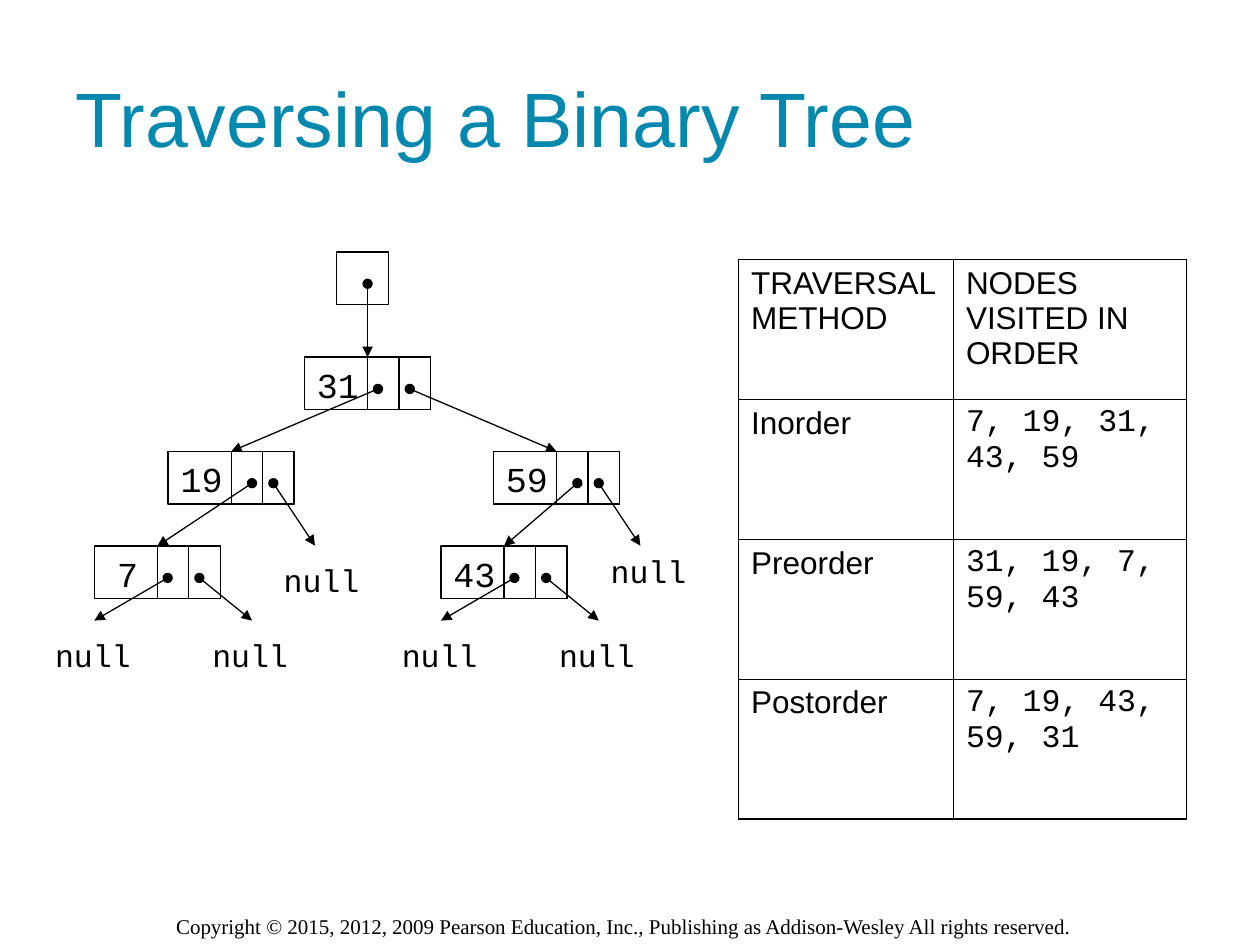
"""Build a slide showing a linked binary tree and its three traversal orders."""
from dataclasses import dataclass
from typing import Optional

from lxml import etree
from pptx import Presentation
from pptx import util as u
from pptx.dml.color import RGBColor
from pptx.enum import shapes, text
from pptx.oxml.ns import qn

BLACK, TEAL = "000000", "0488AE"
SANS, MONO, SERIF = "Arial", "Courier New", "Times New Roman"
NODE_WIDTH, NODE_HEIGHT = 2.54, 1.06
POINTER_WIDTH = NODE_WIDTH / 4
THIN, THICK = 0.45, 1.08
Point = tuple[float, float]


@dataclass(frozen=True)
class Link:
    """A pointer to a child node, or to a null label placed relative to its node."""
    start: float
    child: str = ""
    end: Point = (0, 0)
    null: Point = (0, 0)


@dataclass(frozen=True)
class Node:
    """A tree node with a value and two pointers."""
    value: str
    left: float
    top: float
    links: tuple[Link, Link]
    value_shift: float = 0


LEAF_LINKS = (Link(1.48, end=(0, 1.5), null=(-1.04, 1.69)),
              Link(2.12, end=(3.18, 1.5), null=(2.13, 1.69)))
NODES = (
    Node("31", 6.14, 7.2, (Link(1.48, "19"), Link(2.12, "59"))),
    Node("59", 9.95, 9.1, (Link(1.69, "43"), Link(2.12, end=(2.96, 1.9), null=(2.11, 1.91)))),
    Node("19", 3.39, 9.1, (Link(1.69, "7"), Link(2.12, end=(2.96, 1.9), null=(2.08, 2.08)))),
    Node("7", 1.9, 11.01, LEAF_LINKS, 0.21),
    Node("43", 8.89, 11.01, LEAF_LINKS),
)
TRAVERSALS = (
    ("TRAVERSAL METHOD", "NODES VISITED IN ORDER"),
    ("Inorder", "7, 19, 31, 43, 59"),
    ("Preorder", "31, 19, 7, 59, 43"),
    ("Postorder", "7, 19, 43, 59, 31"),
)


def rgb(color: str) -> RGBColor:
    """Turn a hex string into a colour."""
    return RGBColor.from_string(color)


def style(frame, size: float, font: str, color: str = BLACK) -> None:
    """Format every run in a text frame."""
    for paragraph in frame.paragraphs:
        for run in paragraph.runs:
            run.font.size, run.font.name = u.Pt(size), font
            run.font.color.rgb = rgb(color)


def add_text(slide, words: str, left: float, top: float, width: float, height: float,
             size: float, font: str, color: str = BLACK, wrap: bool = False):
    """Add a text box, fitted to its text unless it wraps, and return its frame."""
    frame = slide.shapes.add_textbox(
        u.Cm(left), u.Cm(top), u.Cm(width), u.Cm(height)).text_frame
    frame.text = words
    frame.word_wrap = wrap
    if not wrap:
        frame.auto_size = text.MSO_AUTO_SIZE.SHAPE_TO_FIT_TEXT
    style(frame, size, font, color)
    return frame


def add_box(slide, left: float, top: float, width: float):
    """Add an outlined box of node height."""
    box = slide.shapes.add_shape(shapes.MSO_SHAPE.RECTANGLE, u.Cm(left), u.Cm(top),
                                 u.Cm(width), u.Cm(NODE_HEIGHT))
    box.shadow.inherit = False
    box.fill.background()
    box.line.color.rgb = rgb(BLACK)
    box.line.width = u.Pt(0.75)
    return box


def add_pointer(slide, start: Point, end: Point, target: Optional[object] = None) -> None:
    """Add an arrow with a round tail, joined to the top of its target if there is one."""
    arrow = slide.shapes.add_connector(
        shapes.MSO_CONNECTOR.STRAIGHT, *(u.Cm(value) for value in (*start, *end)))
    if target is not None:
        arrow.end_connect(target, 0)
    arrow.line.color.rgb = rgb(BLACK)
    arrow.line.width = u.Pt(0.75)
    outline = arrow.line._get_or_add_ln()
    etree.SubElement(outline, qn("a:headEnd"), type="oval")
    etree.SubElement(outline, qn("a:tailEnd"), type="triangle")
    etree.SubElement(arrow._element.spPr, qn("a:effectLst"))


def draw_tree(slide) -> None:
    """Draw the root reference, the nodes and their pointers."""
    add_box(slide, 6.78, 5.08, NODE_HEIGHT)
    bodies = {}
    for node in NODES:
        bodies[node.value] = add_box(slide, node.left, node.top, NODE_WIDTH)
        for slot in (3, 2):
            add_box(slide, node.left + slot * POINTER_WIDTH, node.top, POINTER_WIDTH)
    tops = {node.value: (node.left + NODE_WIDTH / 2, node.top) for node in NODES}
    add_pointer(slide, (tops["31"][0], 5.72), tops["31"], bodies["31"])
    for node in NODES:
        add_text(slide, node.value, node.left + node.value_shift, node.top,
                 0.52 + 0.44 * len(node.value), 1.11, 20, MONO)
        for link in node.links:
            start = (node.left + link.start, node.top + 0.64)
            if link.child:
                add_pointer(slide, start, tops[link.child], bodies[link.child])
            else:
                add_pointer(slide, start, (node.left + link.end[0], node.top + link.end[1]))
                add_text(slide, "null", node.left + link.null[0], node.top + link.null[1],
                         2.03, 1.02, 18, MONO)


def add_borders(cell, widths: dict[str, float]) -> None:
    """Give a cell its borders, keyed by side."""
    properties = cell._tc.get_or_add_tcPr()
    for index, (side, width) in enumerate(widths.items()):
        border = etree.Element(qn(f"a:ln{side}"), w=str(int(u.Pt(width))))
        fill = etree.SubElement(border, qn("a:solidFill"))
        etree.SubElement(fill, qn("a:srgbClr"), val=BLACK)
        properties.insert(index, border)


def draw_traversals(slide) -> None:
    """Draw the table of traversal orders."""
    table = slide.shapes.add_table(len(TRAVERSALS), 2, u.Cm(14.89), u.Cm(5.23),
                                   u.Cm(9.03), u.Cm(11.28)).table
    table.first_row = table.horz_banding = False
    for column, width in zip(table.columns, (4.33, 4.7)):
        column.width = u.Cm(width)
    last = len(TRAVERSALS) - 1
    for row, entries in enumerate(TRAVERSALS):
        for column, entry in enumerate(entries):
            cell = table.cell(row, column)
            cell.text_frame.text = entry
            style(cell.text_frame, 18, MONO if row and column else SANS)
            cell.fill.background()
            add_borders(cell, {
                "L": THIN if column else THICK,
                "R": THICK if column else THIN,
                "T": THIN if row else THICK,
                "B": THICK if row == last else THIN,
            })


def main() -> None:
    """Build and save the slide."""
    deck = Presentation()
    deck.slide_width, deck.slide_height = u.Cm(25.4), u.Cm(19.05)
    slide = deck.slides.add_slide(deck.slide_layouts[6])
    add_text(slide, "Copyright © 2015, 2012, 2009 Pearson Education, Inc., "
             "Publishing as Addison-Wesley All rights reserved.",
             3.3, 18.29, 18.85, 0.76, 12, SERIF, wrap=True)
    title = add_text(slide, "Traversing a Binary Tree", 1.27, 0.76, 22.86, 3.18,
                     44, SANS, TEAL, wrap=True)
    title.vertical_anchor = text.MSO_ANCHOR.MIDDLE
    draw_traversals(slide)
    draw_tree(slide)
    deck.save("out.pptx")


if __name__ == "__main__":
    main()
